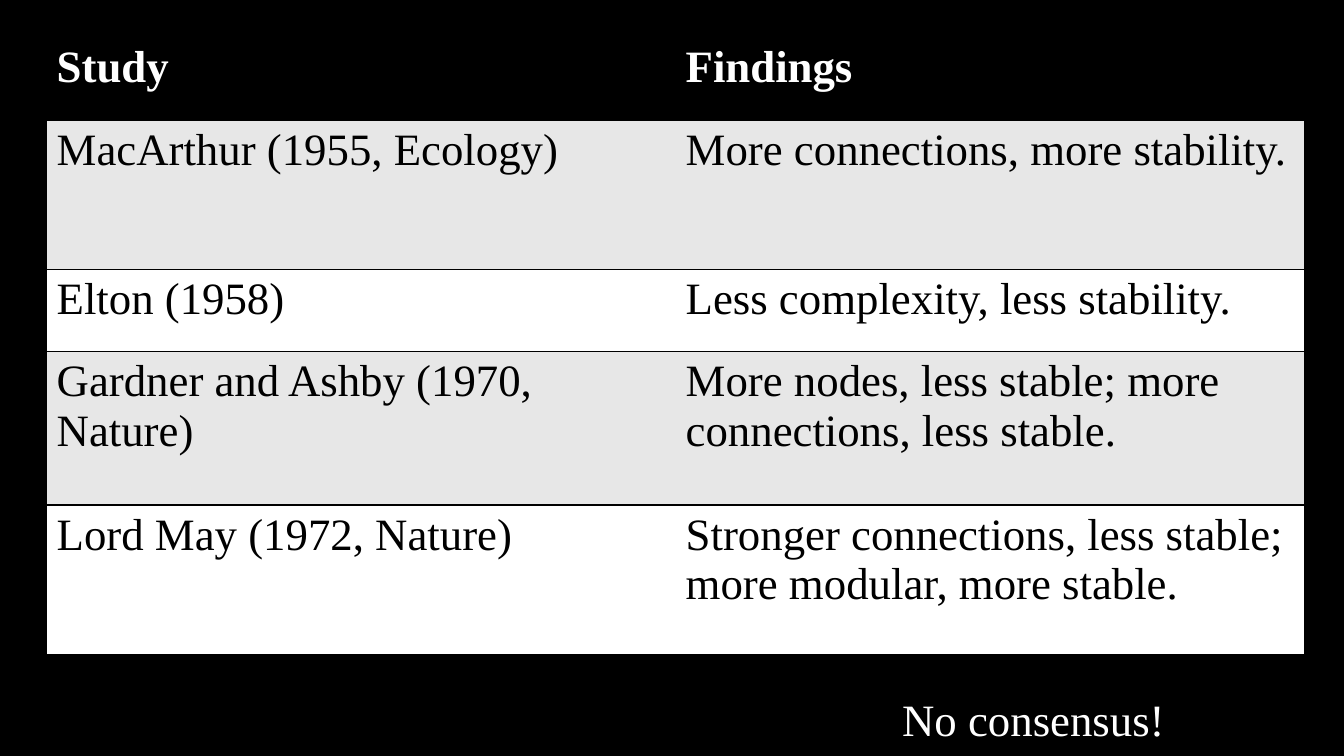
from dataclasses import dataclass

from lxml import etree
from pptx import Presentation
from pptx import util as u
from pptx.dml.color import RGBColor
from pptx.oxml import ns


@dataclass(frozen=True)
class Theme:
    font: str = "Times New Roman"
    size: int = 32
    dark: str = "000000"
    light: str = "FFFFFF"
    band: str = "E7E7E7"
    rule: float = 1


@dataclass(frozen=True)
class Box:
    left: float
    top: float
    width: float
    height: float

    def lengths(self):
        return [u.Pt(v) for v in (self.left, self.top, self.width, self.height)]


THEME = Theme()
PAGE = Box(0, 0, 960, 540)
STUDIES = [
    ("Study", "Findings"),
    ("MacArthur (1955, Ecology)", "More connections, more stability."),
    ("Elton (1958)", "Less complexity, less stability."),
    ("Gardner and Ashby (1970, Nature)",
     "More nodes, less stable; more connections, less stable."),
    ("Lord May (1972, Nature)",
     "Stronger connections, less stable; more modular, more stable."),
]
ROW_HEIGHTS = [59, 106.5, 59, 109.5, 106.5]


def style_text(frame, color, bold=False):
    for para in frame.paragraphs:
        for span in para.runs:
            span.font.name = THEME.font
            span.font.size = u.Pt(THEME.size)
            span.font.bold = bold
            span.font.color.rgb = RGBColor.from_string(color)


def add_borders(cell, hidden):
    """Rule every side of the cell except the hidden one."""
    props = cell._tc.get_or_add_tcPr()
    for side in ("lnL", "lnR", "lnT", "lnB"):
        line = etree.SubElement(props, ns.qn(f"a:{side}"), w=str(u.Pt(THEME.rule)))
        if side == hidden:
            etree.SubElement(line, ns.qn("a:noFill"))
        else:
            fill = etree.SubElement(line, ns.qn("a:solidFill"))
            etree.SubElement(fill, ns.qn("a:srgbClr"), val=THEME.dark)


def add_studies_table(page, box):
    table = page.shapes.add_table(len(STUDIES), 2, *box.lengths()).table
    table.horz_banding = False
    for column in table.columns:
        column.width = u.Pt(box.width / 2)
    for r, (words, height) in enumerate(zip(STUDIES, ROW_HEIGHTS)):
        table.rows[r].height = u.Pt(height)
        header = r == 0
        fill = THEME.dark if header else THEME.band if r % 2 else THEME.light
        for c, word in enumerate(words):
            cell = table.cell(r, c)
            cell.text_frame.text = word
            style_text(cell.text_frame, THEME.light if header else THEME.dark, header)
            add_borders(cell, "lnL" if c else "lnR")
            cell.fill.solid()
            cell.fill.fore_color.rgb = RGBColor.from_string(fill)


def add_conclusion(page, box):
    frame = page.shapes.add_textbox(*box.lengths()).text_frame
    frame.word_wrap = True
    frame.margin_left = u.Pt(43.2)
    frame.text = "No consensus!"
    frame.paragraphs[0].line_spacing = 0.9
    style_text(frame, THEME.light)


def main():
    deck = Presentation()
    deck.slide_width, deck.slide_height = u.Pt(PAGE.width), u.Pt(PAGE.height)
    page = deck.slides.add_slide(deck.slide_layouts[6])
    page.background.fill.solid()
    page.background.fill.fore_color.rgb = RGBColor.from_string(THEME.dark)
    add_conclusion(page, Box(601.2, 494.6, PAGE.width - 601.2, PAGE.height - 494.6))
    add_studies_table(page, Box(33.3, 26.8, 898.6, sum(ROW_HEIGHTS)))
    deck.save("out.pptx")


if __name__ == "__main__":
    main()
